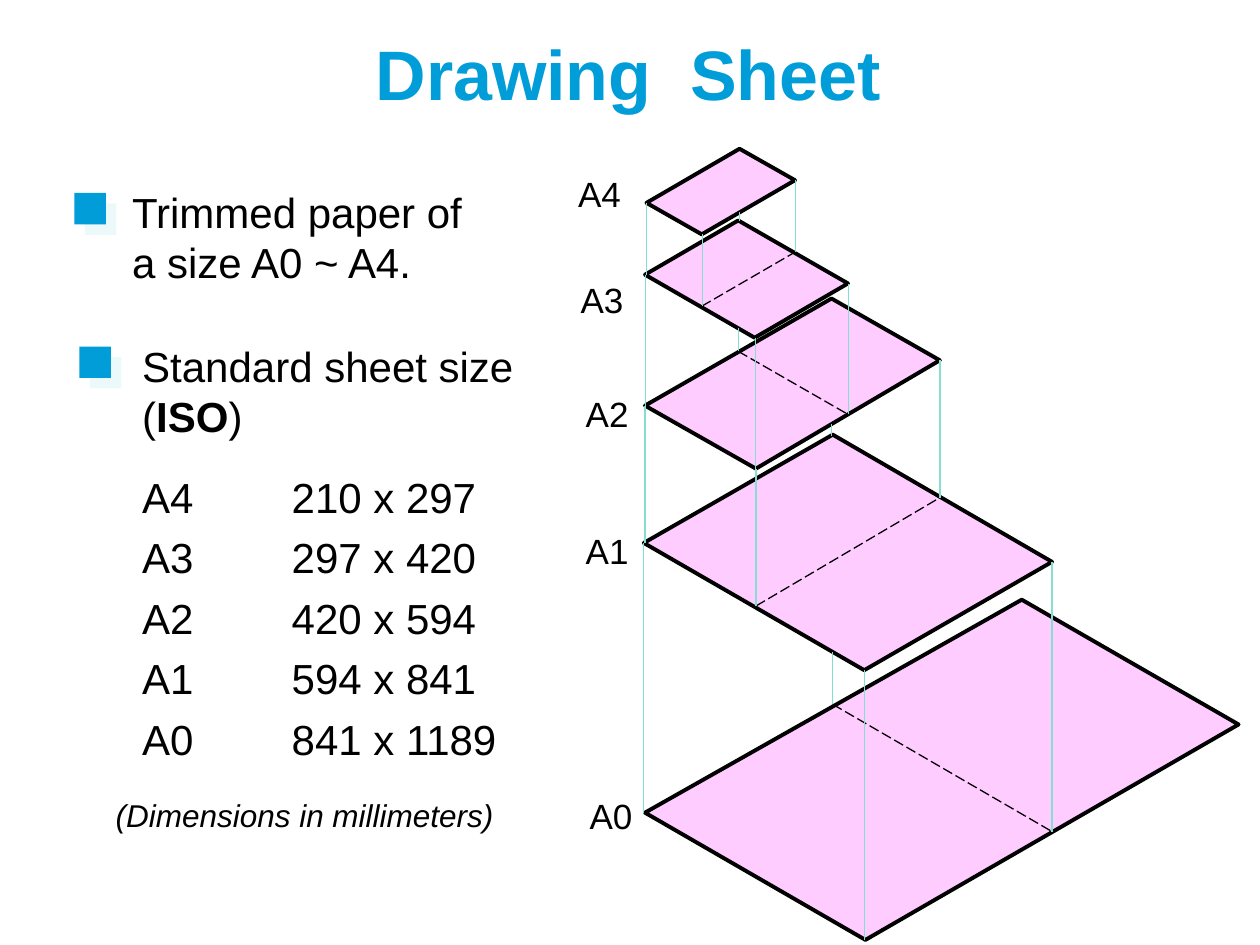
"""Build a slide on ISO drawing sheet sizes, with a stack of sheets from A4 down to A0."""
from dataclasses import dataclass

from lxml import etree
from pptx import Presentation
from pptx import util as u
from pptx.dml.color import RGBColor
from pptx.enum import dml, shapes, text
from pptx.oxml import ns


@dataclass(frozen=True)
class Theme:
    font: str = "Arial"
    ink: str = "000000"
    accent: str = "009DD9"
    shade: str = "DBF5F9"
    sheet: str = "FFCCFF"
    guide: str = "85DFD0"
    title: int = 40
    body: int = 24
    label: int = 20
    note: int = 18
    leading: float = 1.2
    loose: float = 1.44


THEME = Theme()
TITLE = "Drawing  Sheet"
TRIM = ["Trimmed paper of", "a size A0 ~ A4."]
STANDARD = "Standard sheet size (**ISO**)"
SIZES = [
    ("A4", "210 x 297"),
    ("A3", "297 x 420"),
    ("A2", "420 x 594"),
    ("A1", "594 x 841"),
    ("A0", "841 x 1189"),
]
NOTE = "(Dimensions in millimeters)"
MARKERS = [(42.5, 110.2), (45.4, 198)]
MARKER_SIDE = 18
SIZE_TAB = 85.4
LIST_GAP = 11.5

# name, label position, left, back, right and front corners, guide width, fold start on next sheet
SHEETS = [
    ("A4", (323.3, 95), (369.4, 115.9), (422.6, 85), (454.3, 103), (401, 133.9), 0.25, "front"),
    ("A3", (324.7, 155.5), (368.6, 157), (421.9, 126), (484.6, 162), (431.3, 193), 0.25, "back"),
    ("A2", (327.6, 221), (368.6, 231.8), (475.2, 170.6), (537.1, 205.9), (432, 267.8), 0.75, "front"),
    ("A1", (327.6, 298.8), (367.9, 310.3), (475.9, 248.4), (601.2, 321.1), (493.9, 383), 0.75, "back"),
    ("A0", (329.8, 450.7), (368.6, 464.4), (583.9, 342.7), (707.8, 414), (494.6, 537.1), None, None),
]


def rgb(value):
    return RGBColor.from_string(value)


def add_box(page, left, top, width, height, wrap=False, anchor=text.MSO_ANCHOR.TOP):
    box = page.shapes.add_textbox(*map(u.Pt, (left, top, width, height)))
    box.text_frame.word_wrap = wrap
    box.text_frame.vertical_anchor = anchor
    return box.text_frame


def write(frame, words, size=THEME.body, color=THEME.ink, bold=False, italic=False,
          align=text.PP_ALIGN.LEFT, leading=THEME.leading, before=0, tab=None):
    first = frame.paragraphs[0]
    para = frame.add_paragraph() if first.runs else first
    if tab:
        stops = etree.SubElement(para._p.get_or_add_pPr(), ns.qn("a:tabLst"))
        etree.SubElement(stops, ns.qn("a:tab"), pos=str(u.Pt(tab)), algn="l")
    para.alignment = align
    para.line_spacing = u.Pt(round(size * leading, 2))
    para.space_before = u.Pt(before)
    for index, part in enumerate(words.split("**")):
        if part:
            span = para.add_run()
            span.text = part
            span.font.name = THEME.font
            span.font.size = u.Pt(size)
            span.font.bold = bold or index % 2 == 1
            span.font.italic = italic
            span.font.color.rgb = rgb(color)


def add_marker(page, left, top):
    marker = page.shapes.add_shape(
        shapes.MSO_SHAPE.RECTANGLE, *map(u.Pt, (left, top, MARKER_SIDE, MARKER_SIDE)))
    marker.fill.solid()
    marker.fill.fore_color.rgb = rgb(THEME.accent)
    marker.line.fill.background()
    effects = etree.SubElement(marker._element.spPr, ns.qn("a:effectLst"))
    shadow = etree.SubElement(effects, ns.qn("a:outerShdw"), blurRad="0",
                              dist=str(u.Pt(8.5)), dir="2700000", algn="ctr", rotWithShape="0")
    tint = etree.SubElement(shadow, ns.qn("a:srgbClr"), val=THEME.shade)
    etree.SubElement(tint, ns.qn("a:alpha"), val="50000")


def add_sheet(page, corners):
    start, *rest = [tuple(map(u.Pt, corner)) for corner in corners]
    builder = page.shapes.build_freeform(*start, scale=1.0)
    builder.add_line_segments(rest, close=True)
    sheet = builder.convert_to_shape()
    sheet.shadow.inherit = False
    sheet.fill.solid()
    sheet.fill.fore_color.rgb = rgb(THEME.sheet)
    sheet.line.color.rgb = rgb(THEME.ink)
    sheet.line.width = u.Pt(2.25)


def add_line(page, start, end, color, width, dash=None):
    line = page.shapes.add_connector(shapes.MSO_CONNECTOR.STRAIGHT, *map(u.Pt, start + end))
    line.line.color.rgb = rgb(color)
    line.line.width = u.Pt(width)
    if dash:
        line.line.dash_style = dash
    etree.SubElement(line._element.spPr, ns.qn("a:effectLst"))


def lower_edge(x, left, right, front):
    end = left if x < front[0] else right
    return front[1] + (end[1] - front[1]) * (x - front[0]) / (end[0] - front[0])


def add_guides(page, left, back, right, front, drop, width, fold):
    def lowered(point):
        return point[0], point[1] + drop

    fold_start = {"front": front, "back": back}[fold]
    add_line(page, lowered(fold_start), lowered(right), THEME.ink, 0.75,
             dml.MSO_LINE.LONG_DASH)
    exposed = (back[0], lower_edge(back[0], left, right, front))
    for start, corner in [(left, left), (front, front), (right, right), (exposed, back)]:
        add_line(page, start, lowered(corner), THEME.guide, width)


def main():
    deck = Presentation()
    deck.slide_width, deck.slide_height = u.Pt(720), u.Pt(540)
    page = deck.slides.add_slide(deck.slide_layouts[6])

    title = add_box(page, 20.2, 13.7, 677.5, 55.4, wrap=True, anchor=text.MSO_ANCHOR.MIDDLE)
    write(title, TITLE, size=THEME.title, color=THEME.accent, bold=True,
          align=text.PP_ALIGN.CENTER)

    for spot in MARKERS:
        add_marker(page, *spot)
    trim = add_box(page, 68.4, 103, 203.8, 64.8)
    for line in TRIM:
        write(trim, line)
    standard = add_box(page, 74.2, 190.8, 233.3, 251.3, wrap=True)
    write(standard, STANDARD)
    for index, row in enumerate(SIZES):
        write(standard, "\t".join(row), leading=THEME.loose, tab=SIZE_TAB,
              before=0 if index else LIST_GAP)
    note = add_box(page, 59, 447.1, 230.4, 33.1)
    write(note, NOTE, size=THEME.note, italic=True, leading=THEME.loose)

    for name, spot, *corners, _, _ in SHEETS:
        add_sheet(page, corners)
        write(add_box(page, *spot, 38.9, 31), name, size=THEME.label)
    for current, following in zip(SHEETS, SHEETS[1:]):
        _, _, left, back, right, front, width, fold = current
        add_guides(page, left, back, right, front, following[2][1] - left[1], width, fold)

    deck.save("out.pptx")


if __name__ == "__main__":
    main()
